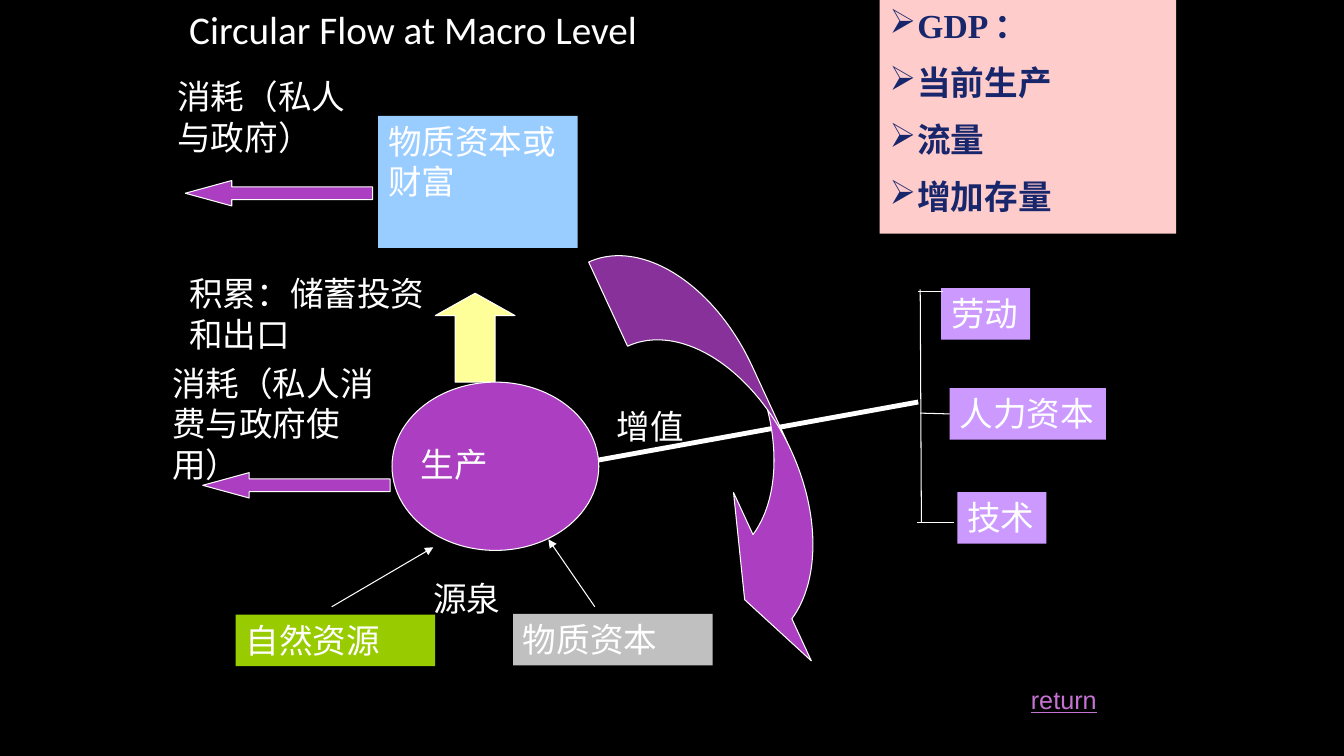
import lxml.etree
import pptx
import pptx.dml.color
import pptx.enum.shapes
import pptx.enum.text
import pptx.oxml.ns
import pptx.util

Cm = pptx.util.Cm
Pt = pptx.util.Pt
RGBColor = pptx.dml.color.RGBColor
SHAPE = pptx.enum.shapes.MSO_SHAPE
ANCHOR = pptx.enum.text.MSO_ANCHOR
ALIGN = pptx.enum.text.PP_ALIGN

BLACK = RGBColor(0x00, 0x00, 0x00)
WHITE = RGBColor(0xFF, 0xFF, 0xFF)
PURPLE = RGBColor(0xAC, 0x3E, 0xC1)
LILAC = RGBColor(0xCC, 0x99, 0xFF)
ORCHID = RGBColor(0xC5, 0x73, 0xD2)
GREEN = RGBColor(0x99, 0xCC, 0x00)
SILVER = RGBColor(0xC0, 0xC0, 0xC0)
SKY = RGBColor(0x99, 0xCC, 0xFF)
YELLOW = RGBColor(0xFF, 0xFF, 0x99)
PINK = RGBColor(0xFF, 0xCC, 0xCC)
NAVY = RGBColor(0x18, 0x27, 0x6C)
BODY_FONT = "Times New Roman"


def add_tag(parent, tag, **attributes):
    """Append a DrawingML element and return it."""
    return lxml.etree.SubElement(parent, pptx.oxml.ns.qn(tag), **attributes)


def write(paragraph, text, size=24, font=BODY_FONT, color=WHITE):
    """Add a formatted run to a paragraph and return it."""
    run = paragraph.add_run()
    run.text = text
    run.font.size = Pt(size)
    run.font.name = font
    run.font.color.rgb = color
    return run


def add_label(slide, place, text, **style):
    """Add a wrapping text box with one run."""
    label = slide.shapes.add_textbox(*map(Cm, place))
    label.text_frame.word_wrap = True
    run = write(label.text_frame.paragraphs[0], text, **style)
    return label, run


def add_figure(slide, kind, place, fill, outlined=True, adjustments=()):
    """Add a filled preset shape, outlined in white or without a line."""
    figure = slide.shapes.add_shape(kind, *map(Cm, place))
    figure.shadow.inherit = False
    figure.fill.solid()
    figure.fill.fore_color.rgb = fill
    if outlined:
        figure.line.color.rgb = WHITE
        figure.line.width = Pt(0.75)
    else:
        figure.line.fill.background()
    for index, value in enumerate(adjustments):
        figure.adjustments[index] = value
    return figure


def add_box(slide, place, fill, text, wrap=True):
    """Add a filled box with text at its top left."""
    box = add_figure(slide, SHAPE.RECTANGLE, place, fill, outlined=False)
    frame = box.text_frame
    frame.word_wrap = wrap
    frame.vertical_anchor = ANCHOR.TOP
    frame.paragraphs[0].alignment = ALIGN.LEFT
    write(frame.paragraphs[0], text)
    return box


def add_line(slide, ends, width=0.75, arrow=False):
    """Add a straight white line, with an arrowhead at its end if wanted."""
    line = slide.shapes.add_connector(
        pptx.enum.shapes.MSO_CONNECTOR.STRAIGHT, *map(Cm, ends))
    line.line.color.rgb = WHITE
    line.line.width = Pt(width)
    if arrow:
        add_tag(line.line._get_or_add_ln(), "a:tailEnd", type="triangle")
    add_tag(line._element.spPr, "a:effectLst")
    return line


def add_gdp_panel(slide, place, points):
    """Add the pink panel of bulleted points."""
    panel = add_figure(slide, SHAPE.RECTANGLE, place, PINK, outlined=False)
    frame = panel.text_frame
    frame.word_wrap = True
    frame.vertical_anchor = ANCHOR.TOP
    for index, point in enumerate(points):
        paragraph = frame.add_paragraph() if index else frame.paragraphs[0]
        paragraph.alignment = ALIGN.LEFT
        if index:
            paragraph.space_before = Pt(12)
        properties = paragraph._p.get_or_add_pPr()
        properties.set("marL", str(Cm(0.7)))
        properties.set("indent", str(Cm(-0.7)))
        add_tag(properties, "a:buChar", char="➢")
        write(paragraph, point, color=NAVY).font.bold = True


def main():
    """Build the circular flow slide."""
    deck = pptx.Presentation()
    deck.slide_width, deck.slide_height = Cm(33.87), Cm(19.05)
    slide = deck.slides.add_slide(deck.slide_layouts[6])
    slide.background.fill.solid()
    slide.background.fill.fore_color.rgb = BLACK

    title, _ = add_label(slide, (4.24, 0, 12.34, 1.47),
                         "Circular Flow at Macro Level", size=28, font="Calibri")
    title.text_frame.vertical_anchor = ANCHOR.MIDDLE
    title.text_frame.paragraphs[0].alignment = ALIGN.CENTER
    _, return_run = add_label(slide, (25.73, 17.12, 2.59, 1.02), "return",
                              size=18, font="Arial", color=ORCHID)
    return_run.font.underline = True

    add_box(slide, (5.94, 15.49, 5.03, 1.3), GREEN, "自然资源")
    add_box(slide, (12.93, 15.47, 5.03, 1.3), SILVER, "物质资本")
    add_box(slide, (9.53, 2.92, 5.03, 3.33), SKY, "物质资本或财富")
    add_figure(slide, SHAPE.UP_ARROW, (10.97, 7.39, 2.01, 2.24), YELLOW,
               adjustments=(0.5, 0.28))
    add_line(slide, (23.14, 10.13, 14.71, 11.66), width=3.5, arrow=True)
    human_capital = add_box(slide, (23.93, 9.78, 3.94, 1.3), LILAC, "人力资本", wrap=False)
    add_box(slide, (23.72, 7.26, 2.24, 1.3), LILAC, "劳动", wrap=False)
    add_box(slide, (24.13, 12.4, 2.24, 1.3), LILAC, "技术", wrap=False)

    add_label(slide, (15.29, 10.11, 3.61, 1.27), "增值")
    add_label(slide, (4.22, 1.8, 5.08, 2.31), "消耗（私人与政府）")
    add_figure(slide, SHAPE.CURVED_LEFT_ARROW, (17.17, 5.51, 2.64, 11.71), PURPLE,
               adjustments=(0.885, 1.77, 0.333)).rotation = 335.2
    add_figure(slide, SHAPE.OVAL, (9.88, 9.63, 5.21, 4.24), PURPLE)
    add_label(slide, (10.36, 11.05, 4.29, 1.27), "生产")

    for source_arrow in ((8.36, 15.29, 10.92, 13.79), (14.99, 15.29, 13.82, 13.59)):
        add_line(slide, source_arrow, arrow=True)
    for bracket_part in ((23.19, 7.29, 23.22, 13.16), (23.11, 13.16, 24.03, 13.16),
                         (23.14, 7.34, 23.77, 7.34)):
        add_line(slide, bracket_part)
    add_line(slide, (23.19, 10.41, 23.93, 10.43)).end_connect(human_capital, 1)

    add_label(slide, (4.52, 6.76, 7.24, 2.31), "积累：储蓄投资和出口")
    add_label(slide, (4.09, 9.02, 6.22, 2.31), "消耗（私人消费与政府使用）")
    for left, top in ((4.67, 4.55), (5.11, 11.91)):
        add_figure(slide, SHAPE.LEFT_ARROW, (left, top, 4.72, 0.64), PURPLE,
                   adjustments=(0.5, 1.83))
    add_label(slide, (10.67, 14.43, 3.61, 1.27), "源泉")
    add_gdp_panel(slide, (22.17, 0, 7.47, 5.89),
                  ("GDP ：", "当前生产", "流量", "增加存量"))
    deck.save("out.pptx")


if __name__ == "__main__":
    main()
